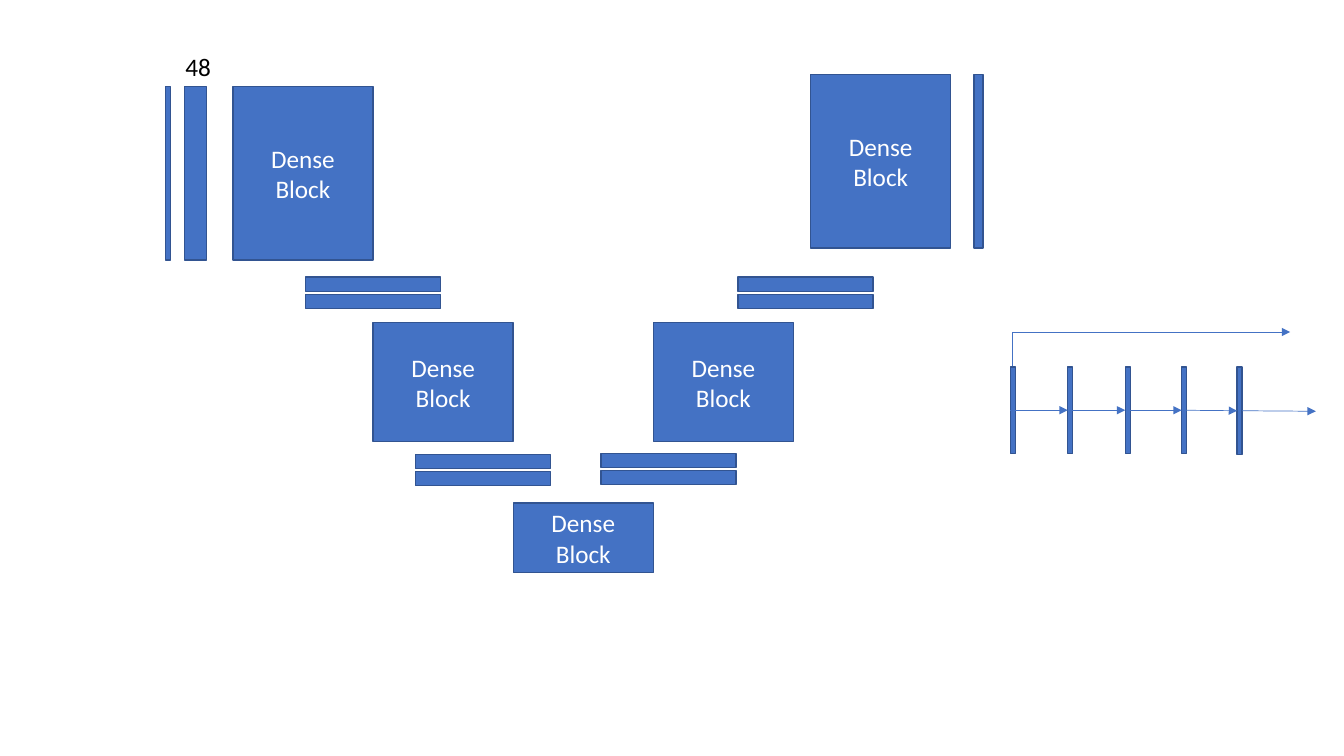
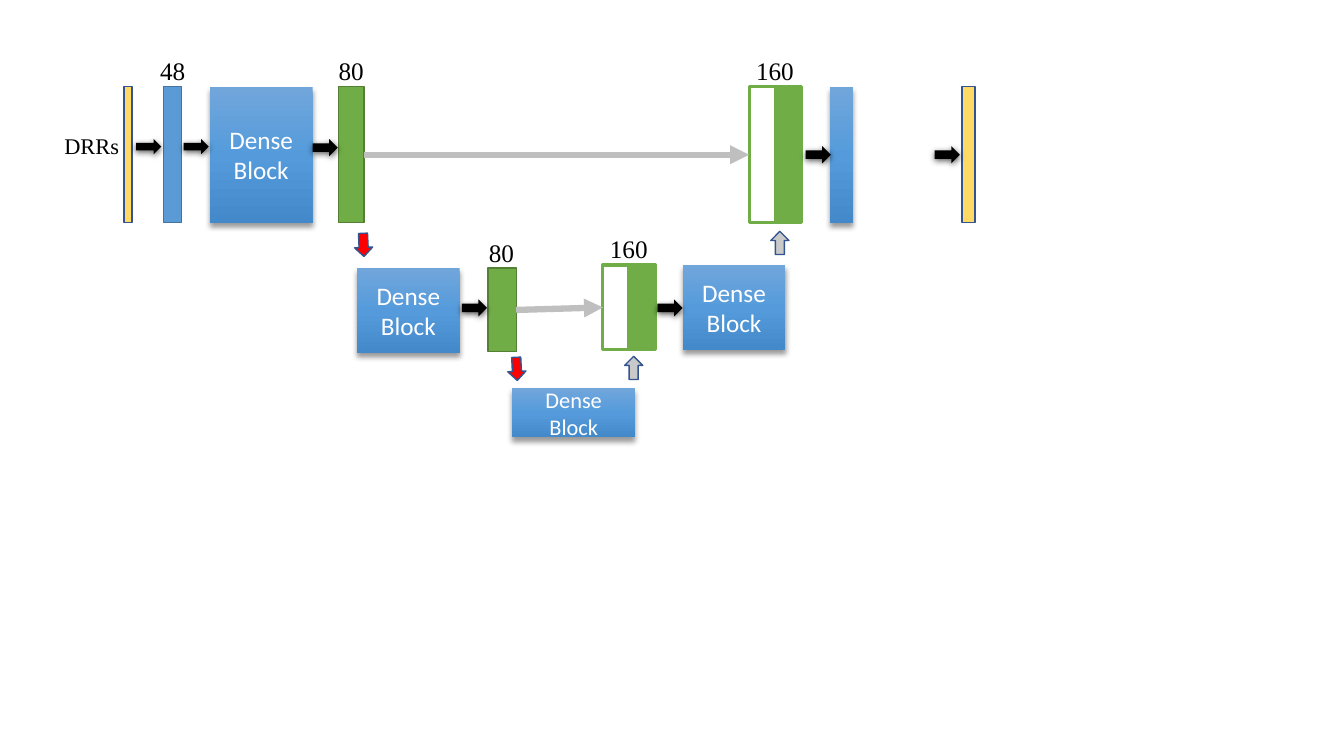
from copy import deepcopy

from lxml import etree
from pptx import Presentation
from pptx.dml.color import RGBColor
from pptx.enum import shapes, text
from pptx.oxml.ns import qn
from pptx.util import Inches, Pt

# Colours and fonts
BLUE = RGBColor(0x44, 0x72, 0xC4)
NAVY = RGBColor(0x32, 0x54, 0x91)
SKY = RGBColor(0x5B, 0x9B, 0xD5)
SKY_EDGE = RGBColor(0x43, 0x73, 0x9E)
SKY_STOPS = (RGBColor(0x71, 0xA6, 0xDB), RGBColor(0x55, 0x9B, 0xDB),
             RGBColor(0x44, 0x8A, 0xCA))
GREEN = RGBColor(0x70, 0xAD, 0x47)
GREEN_EDGE = RGBColor(0x53, 0x80, 0x35)
YELLOW = RGBColor(0xFF, 0xD9, 0x66)
RED = RGBColor(0xFF, 0x00, 0x00)
GREY = RGBColor(0xBF, 0xBF, 0xBF)
LIGHT_GREY = RGBColor(0xC9, 0xC9, 0xC9)
WHITE = RGBColor(0xFF, 0xFF, 0xFF)
BLACK = RGBColor(0x00, 0x00, 0x00)
SANS, SERIF = "Calibri", "Times New Roman"

RECTANGLE = shapes.MSO_SHAPE.RECTANGLE
ARROW = shapes.MSO_SHAPE.RIGHT_ARROW
STRAIGHT = shapes.MSO_CONNECTOR.STRAIGHT
ELBOW = shapes.MSO_CONNECTOR.ELBOW
TOP, LEFT, BOTTOM, RIGHT = range(4)

# Shadows: opacity in percent, blur and distance in points
BLOCK_SHADOW = (40, 4, 3)
ARROW_SHADOW = (63, 4.5, 1.5)


# Shapes
def add_box(slide, box, fill, edge=None, weight=1, kind=RECTANGLE, rotation=0):
    shape = slide.shapes.add_shape(kind, *map(Inches, box))
    shape.shadow.inherit = False
    shape.rotation = rotation
    shape.fill.solid()
    shape.fill.fore_color.rgb = fill
    if edge is None:
        shape.line.fill.background()
    else:
        shape.line.color.rgb = edge
        shape.line.width = Pt(weight)
    return shape


def add_shadow(shape, opacity, blur, distance):
    effects = shape._element.spPr.find(qn("a:effectLst"))
    outer = etree.SubElement(effects, qn("a:outerShdw"), blurRad=str(Pt(blur)),
                             dist=str(Pt(distance)), dir="5400000",
                             algn="ctr", rotWithShape="0")
    colour = etree.SubElement(outer, qn("a:srgbClr"), val=str(BLACK))
    etree.SubElement(colour, qn("a:alpha"), val=str(opacity * 1000))


def add_glossy_box(slide, box):
    shape = add_box(slide, box, SKY)
    shape.fill.gradient()
    shape.fill.gradient_angle = 270
    stop_list = shape._element.spPr.find(".//" + qn("a:gsLst"))
    stop_list.append(deepcopy(stop_list[-1]))
    for index, stop in enumerate(shape.fill.gradient_stops):
        stop.color.rgb = SKY_STOPS[index]
        stop.position = index / 2
    add_shadow(shape, *BLOCK_SHADOW)
    return shape


def add_black_arrow(slide, left, top, height):
    arrow = add_box(slide, (left, top, 0.25, height), BLACK, kind=ARROW)
    add_shadow(arrow, *ARROW_SHADOW)


def add_turned_arrow(slide, left, top, fill, rotation):
    add_box(slide, (left, top, 0.23, 0.18), fill, NAVY, kind=ARROW,
            rotation=rotation)


# Text
def style_text(frame, size, font, colour, alignment=None):
    for paragraph in frame.paragraphs:
        paragraph.alignment = alignment
        paragraph.font.size = Pt(size)
        paragraph.font.name = font
        paragraph.font.color.rgb = colour


def name_dense_block(shape, size=18):
    frame = shape.text_frame
    frame.text = "Dense\nBlock"
    frame.vertical_anchor = text.MSO_ANCHOR.MIDDLE
    style_text(frame, size, SANS, WHITE, text.PP_ALIGN.CENTER)


def add_label(slide, words, box, size=18, font=SERIF):
    frame = slide.shapes.add_textbox(*map(Inches, box)).text_frame
    frame.text = words
    frame.word_wrap = False
    frame.auto_size = text.MSO_AUTO_SIZE.SHAPE_TO_FIT_TEXT
    style_text(frame, size, font, BLACK)


# Connectors
def add_arrow_line(slide, colour, weight, start=(0, 0), end=(0, 0),
                   kind=STRAIGHT):
    line = slide.shapes.add_connector(kind, *map(Inches, (*start, *end)))
    line.line.color.rgb = colour
    line.line.width = Pt(weight)
    etree.SubElement(line.line._get_or_add_ln(), qn("a:tailEnd"),
                     type="triangle")
    etree.SubElement(line._element.spPr, qn("a:effectLst"))
    return line


def join(slide, source, side, target, colour, weight):
    line = add_arrow_line(slide, colour, weight)
    line.begin_connect(source, side)
    line.end_connect(target, LEFT)


# Slide 1: network and the inside of a dense block
def add_layer_chain(slide):
    lefts = (10.02, 10.59, 11.16, 11.72, 12.27)
    layers = [add_box(slide, (left, 3.64, 0.05, 0.87 if left == lefts[-1] else 0.86),
                      BLUE, NAVY) for left in lefts]
    for source, target, side in zip(layers, layers[1:],
                                    (LEFT, LEFT, RIGHT, LEFT)):
        join(slide, source, side, target, BLUE, 0.5)
    output = add_arrow_line(slide, BLUE, 0.5, (12.32, 4.08), (13.05, 4.08))
    output.begin_connect(layers[-1], RIGHT)

    # Bypass: up from the first layer, then right
    bypass = add_arrow_line(slide, BLUE, 0.5, (11.59, 4.84), (11.25, 2.09), ELBOW)
    bypass.rotation = 90
    bypass._element.spPr.find(qn("a:prstGeom")).set("prst", "bentConnector2")


def build_plain_network(slide):
    for box in ((1.64, 0.86, 0.05, 1.72), (1.83, 0.86, 0.22, 1.72),
                (9.66, 0.74, 0.09, 1.72)):
        add_box(slide, box, BLUE, NAVY)
    add_label(slide, "48", (1.74, 0.46, 0.46, 0.4), font=SANS)
    add_layer_chain(slide)

    for left, top, height in ((2.31, 0.86, 1.72), (3.7, 3.2, 1.18),
                              (5.09, 4.99, 0.69), (6.48, 3.2, 1.18),
                              (8.04, 0.74, 1.72)):
        name_dense_block(add_box(slide, (left, top, 1.39, height), BLUE, NAVY))

    # Pairs of transition bars
    for left, top in ((3.03, 2.75), (4.12, 4.51), (5.96, 4.5), (7.32, 2.75)):
        for offset in (0, 0.17):
            add_box(slide, (left, top + offset, 1.34, 0.14), BLUE, NAVY)


# Slide 2: network with skip connections
def build_skip_network(slide):
    # Input, first convolution and output
    for left, width, fill, edge in ((1.23, 0.08, YELLOW, NAVY),
                                    (1.62, 0.18, SKY, SKY_EDGE),
                                    (9.54, 0.13, YELLOW, NAVY)):
        add_box(slide, (left, 0.86, width, 1.35), fill, edge)

    # Dense blocks
    for box, size in (((2.08, 0.86, 1.02, 1.35), 18),
                      ((3.54, 2.66, 1.02, 0.84), 18),
                      ((5.08, 3.85, 1.22, 0.49), 16),
                      ((6.77, 2.63, 1.02, 0.84), 18)):
        name_dense_block(add_glossy_box(slide, box), size)
    add_glossy_box(slide, (8.23, 0.86, 0.23, 1.35))

    # Features, and their concatenation across each skip connection
    for feature_box, left, top, height in (
            ((3.36, 0.86, 0.25, 1.35), 7.43, 0.86, 1.35),
            ((4.84, 2.66, 0.28, 0.83), 5.98, 2.63, 0.84)):
        feature = add_box(slide, feature_box, GREEN, GREEN_EDGE)
        add_box(slide, (left + 0.26, top, 0.26, height), GREEN, GREEN, 2.25)
        skipped = add_box(slide, (left, top, 0.26, height), WHITE, GREEN, 2.25)
        join(slide, feature, RIGHT, skipped, GREY, 4.5)

    # Flow, downsampling and upsampling arrows
    for left, top, height in ((1.35, 1.38, 0.15), (1.82, 1.38, 0.15),
                              (3.1, 1.38, 0.17), (6.52, 2.97, 0.17),
                              (4.58, 2.97, 0.17), (7.99, 1.45, 0.17),
                              (9.27, 1.45, 0.17)):
        add_black_arrow(slide, left, top, height)
    for left, top in ((3.49, 2.34), (5.01, 3.57)):
        add_turned_arrow(slide, left, top, RED, 87.4)
    for left, top in ((6.17, 3.56), (7.62, 2.32)):
        add_turned_arrow(slide, left, top, LIGHT_GREY, 270)

    # Labels
    add_label(slide, "DRRs", (0.54, 1.26, 0.75, 0.37), 16)
    for words, left, top, width in (("48", 1.49, 0.5, 0.46),
                                    ("80", 3.26, 0.5, 0.46),
                                    ("80", 4.75, 2.31, 0.46),
                                    ("160", 5.95, 2.27, 0.59),
                                    ("160", 7.4, 0.5, 0.59)):
        add_label(slide, words, (left, top, width, 0.4))


def main():
    presentation = Presentation()
    presentation.slide_width = Inches(13.33)
    presentation.slide_height = Inches(7.5)
    blank = presentation.slide_layouts[6]
    for build in (build_plain_network, build_skip_network):
        build(presentation.slides.add_slide(blank))
    presentation.save("out.pptx")


if __name__ == "__main__":
    main()
